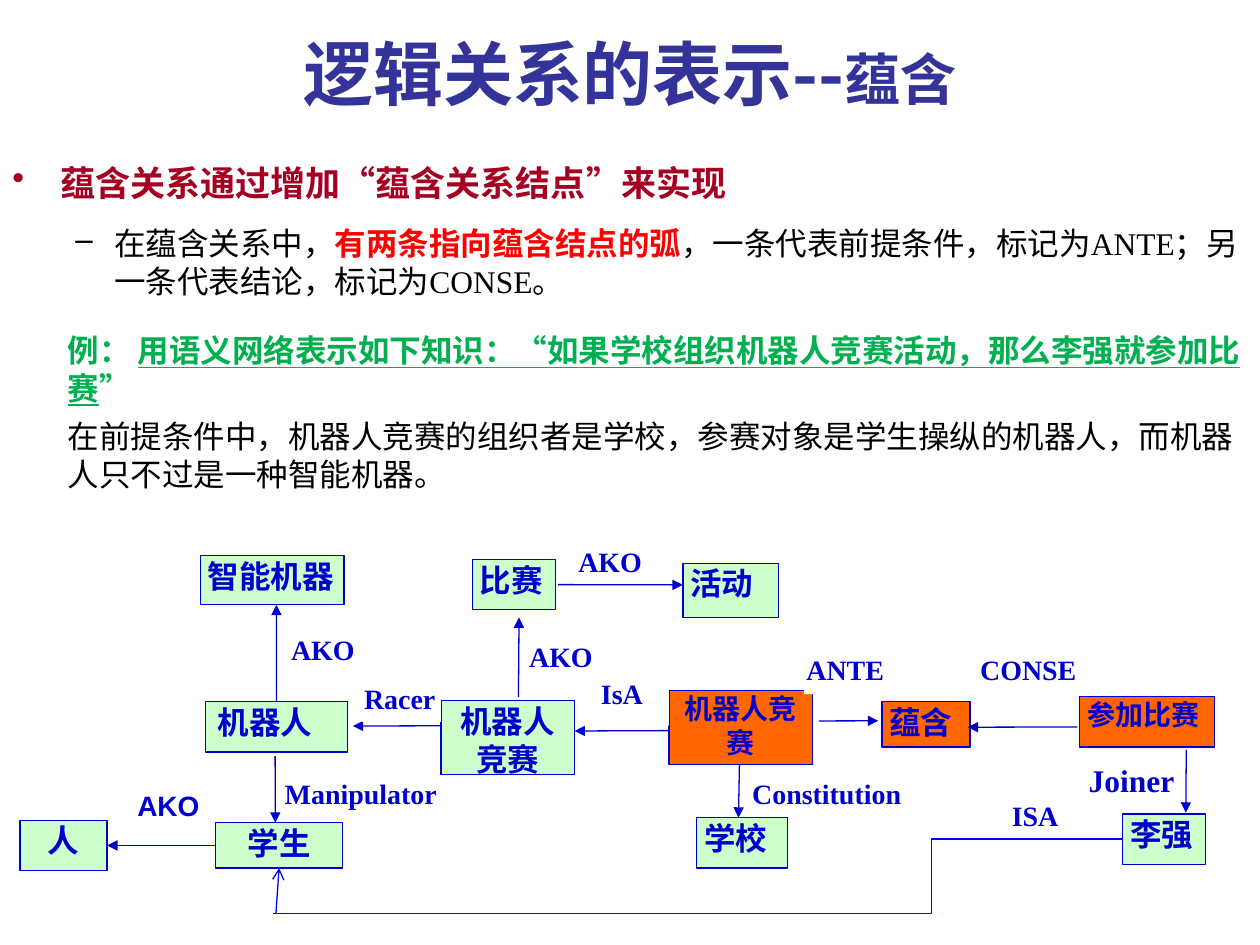
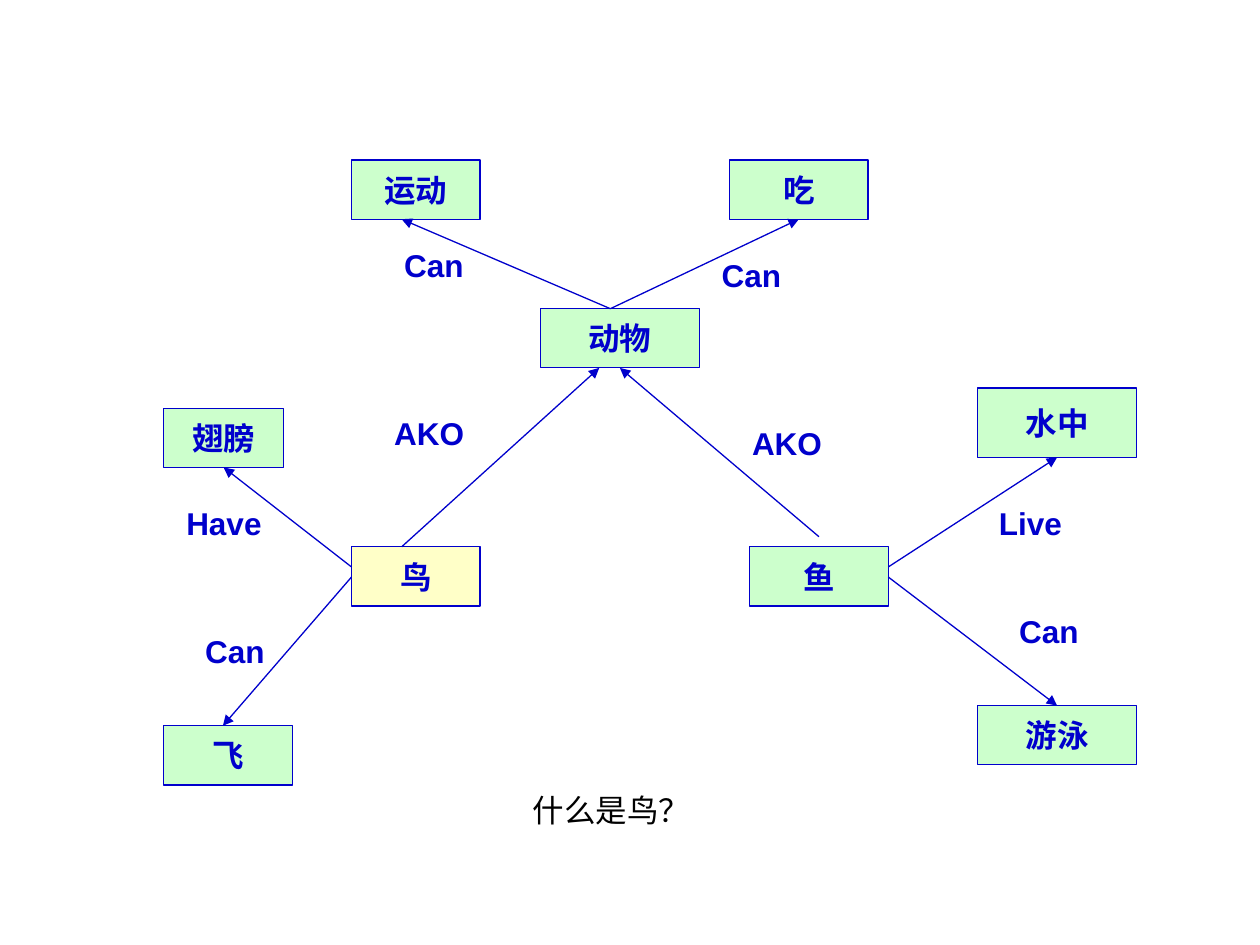
import pptx
import pptx.util
import pptx.dml.color
import pptx.enum.shapes
import pptx.enum.text
import pptx.oxml.ns
import lxml.etree

SERIF, SANS, CJK = "Times New Roman", "Arial", "Noto Sans CJK JP"
INK, BLACK, WHITE = "0000CC", "000000", "FFFFFF"
GREEN, ORANGE, YELLOW = "CCFFCC", "FF6600", "FFFFC8"
TITLE_COLOUR, HEADING, RED, EXAMPLE = "333399", "A50021", "FF0000", "00B050"
RETURN_LINE = "0000FF"
NODE_INSETS, LABEL_INSETS = (0.06, 0.01), (0.02, 0.01)
PLAIN_INSETS = (0.1, 0.05)
ALIGN = pptx.enum.text.PP_ALIGN
MIDDLE = pptx.enum.text.MSO_ANCHOR.MIDDLE

# Each run: text, size, colour, bold, underlined
TITLE = [("逻辑关系的表示--", 40, TITLE_COLOUR, True, False),
         ("蕴含", 32, TITLE_COLOUR, True, False)]

# Each paragraph: level, left margin, first-line indent, space before, bullet, runs
BODY = [
    (0, 0.38, -0.38, 12, "•",
     [("蕴含关系通过增加“蕴含关系结点”来实现", 20, HEADING, True, False)]),
    (1, 0.81, -0.31, 12, "–",
     [("在蕴含关系中，", 18, BLACK, False, False),
      ("有两条指向蕴含结点的弧", 18, RED, True, False),
      ("，一条代表前提条件，标记为ANTE；另一条代表结论，标记为CONSE。",
       18, BLACK, False, False)]),
    (1, 0.44, 0, 18, None,
     [("例： ", 18, EXAMPLE, True, False),
      ("用语义网络表示如下知识：“如果学校组织机器人竞赛活动，那么李强就参加比赛",
       18, EXAMPLE, True, True),
      ("”", 18, EXAMPLE, True, False)]),
    (1, 0.44, 0, 6, None,
     [("在前提条件中，机器人竞赛的组织者是学校，参赛对象是学生操纵的机器人，"
       "而机器人只不过是一种智能机器。", 18, BLACK, False, False)]),
]

# Each node: box, fill, size, alignment
CONTEST_NODES = {
    "智能机器": ((1.59, 4.41, 1.14, 0.39), GREEN, 18, ALIGN.JUSTIFY),
    "比赛": ((3.75, 4.44, 0.66, 0.4), GREEN, 18, ALIGN.JUSTIFY),
    "活动": ((5.42, 4.47, 0.76, 0.43), GREEN, 18, ALIGN.JUSTIFY),
    "机器人": ((1.63, 5.57, 1.13, 0.4), GREEN, 18, ALIGN.JUSTIFY),
    "机器人\v竞赛": ((3.5, 5.56, 1.06, 0.59), GREEN, 18, ALIGN.CENTER),
    "机器人竞赛": ((5.31, 5.48, 1.14, 0.59), ORANGE, 16, ALIGN.CENTER),
    "蕴含": ((7, 5.57, 0.7, 0.36), ORANGE, 18, ALIGN.JUSTIFY),
    "参加比赛": ((8.57, 5.53, 1.07, 0.4), ORANGE, 16, ALIGN.JUSTIFY),
    "人": ((0.16, 6.51, 0.69, 0.4), GREEN, 18, ALIGN.CENTER),
    "学生": ((1.71, 6.53, 1.01, 0.36), GREEN, 18, ALIGN.CENTER),
    "学校": ((5.53, 6.49, 0.72, 0.4), GREEN, 18, ALIGN.JUSTIFY),
    "李强": ((8.91, 6.46, 0.66, 0.4), GREEN, 18, ALIGN.JUSTIFY),
}
WIDE_INSET_NODE = "机器人"

# Each arrow end: node, side, share along that side, gap to the node
CONTEST_ARROWS = [
    (("机器人", "top", 0.5, 0), ("智能机器", "bottom", 0.53, 0)),
    (("比赛", "right", 0.5, 0.02), ("活动", "left", 0.4, 0)),
    (("机器人\v竞赛", "top", 0.58, 0.03), ("比赛", "bottom", 0.56, 0.06)),
    (("机器人\v竞赛", "left", 0.34, 0), ("机器人", "right", 0.48, 0.04)),
    (("机器人竞赛", "left", 0.54, 0), ("机器人\v竞赛", "right", 0.41, 0)),
    (("机器人竞赛", "right", 0.41, 0.05), ("蕴含", "left", 0.42, 0.03)),
    (("参加比赛", "left", 0.6, 0.02), ("蕴含", "right", 0.56, -0.02)),
    (("机器人", "bottom", 0.49, 0.03), ("学生", "top", 0.47, 0)),
    (("机器人竞赛", "bottom", 0.49, 0), ("学校", "top", 0.46, 0)),
    (("参加比赛", "bottom", 0.79, 0.02), ("李强", "top", 0.76, 0.01)),
    (("学生", "left", 0.5, 0), ("人", "right", 0.5, 0)),
]

# Each label: text, box, size, font, fill
CONTEST_LABELS = [
    ("AKO", (2.29, 5.01, 0.74, 0.32), 16, SERIF, WHITE),
    ("AKO", (4.57, 4.31, 0.6, 0.3), 16, SERIF, WHITE),
    ("AKO", (4.18, 5.07, 0.56, 0.4), 16, SERIF, WHITE),
    ("Racer", (2.87, 5.4, 0.63, 0.33), 16, SERIF, WHITE),
    ("IsA", (4.75, 5.36, 0.56, 0.4), 16, SERIF, WHITE),
    ("ANTE", (6.38, 5.17, 0.71, 0.34), 16, SERIF, WHITE),
    ("CONSE", (7.76, 5.17, 0.87, 0.34), 16, SERIF, WHITE),
    ("Manipulator", (2.24, 6.15, 1.34, 0.47), 16, SERIF, None),
    ("Constitution", (5.95, 6.15, 1.29, 0.36), 16, SERIF, None),
    ("Joiner", (8.62, 6.03, 0.77, 0.36), 18, SERIF, None),
    ("AKO", (1.07, 6.25, 0.56, 0.35), 16, SANS, WHITE),
    ("ISA", (8.01, 6.33, 0.41, 0.33), 16, SERIF, WHITE),
]

ANIMAL_NODES = {
    "运动": ((2.79, 1.27, 1.02, 0.47), GREEN),
    "吃": ((5.79, 1.27, 1.1, 0.47), GREEN),
    "动物": ((4.29, 2.45, 1.26, 0.47), GREEN),
    "翅膀": ((1.3, 3.24, 0.95, 0.47), GREEN),
    "水中": ((7.76, 3.08, 1.26, 0.55), GREEN),
    "鸟": ((2.79, 4.34, 1.02, 0.47), YELLOW),
    "鱼": ((5.95, 4.34, 1.1, 0.47), GREEN),
    "飞": ((1.3, 5.76, 1.02, 0.47), GREEN),
    "游泳": ((7.76, 5.6, 1.26, 0.47), GREEN),
}
ANIMAL_ARROWS = [
    (("动物", "top", 0.44, 0), ("运动", "bottom", 0.39, 0)),
    (("动物", "top", 0.44, 0), ("吃", "bottom", 0.5, 0)),
    (("鸟", "top", 0.39, 0), ("动物", "bottom", 0.37, 0)),
    (("鱼", "top", 0.5, 0.08), ("动物", "bottom", 0.5, 0)),
    (("鸟", "left", 0.34, 0), ("翅膀", "bottom", 0.5, 0)),
    (("鸟", "left", 0.51, 0), ("飞", "top", 0.46, 0)),
    (("鱼", "right", 0.34, 0), ("水中", "bottom", 0.5, 0)),
    (("鱼", "right", 0.51, 0), ("游泳", "top", 0.5, 0)),
]
# Each label: text, left, top, width
ANIMAL_LABELS = [
    ("Can", 3.11, 1.9, 0.87), ("Can", 5.63, 1.98, 0.94),
    ("AKO", 3.03, 3.24, 1.1), ("AKO", 5.87, 3.32, 1.18),
    ("Have", 1.38, 3.95, 0.95), ("Live", 7.83, 3.95, 0.75),
    ("Can", 1.53, 4.97, 0.71), ("Can", 7.99, 4.81, 0.79),
]
QUESTION = ("什么是鸟？", 4.13, 6.23, 2.56)
LABEL_HEIGHT = 0.4


def inches(values):
    """Turn numbers into lengths."""
    return [pptx.util.Inches(value) for value in values]


def colour(hex_string):
    """Turn a hex string into a colour."""
    return pptx.dml.color.RGBColor.from_string(hex_string)


def add_xml(parent, tag, **attributes):
    """Append a drawing element to parent and return it."""
    return lxml.etree.SubElement(parent, pptx.oxml.ns.qn(tag), attributes)


def style_run(run, size, ink, bold, font, underline=False):
    """Format one run, with a face for Latin and one for Chinese."""
    run.font.size = pptx.util.Pt(size)
    run.font.bold = bold
    if underline:
        run.font.underline = True
    run.font.color.rgb = colour(ink)
    run.font.name = font
    add_xml(run.font._element, "a:ea", typeface=CJK)


def add_runs(paragraph, runs, font):
    """Write differently formatted runs into a paragraph."""
    for text, size, ink, bold, underline in runs:
        run = paragraph.add_run()
        run.text = text
        style_run(run, size, ink, bold, font, underline)


def set_frame(frame, insets, wrap=True):
    """Set horizontal and vertical insets and wrapping."""
    frame.margin_left = frame.margin_right = pptx.util.Inches(insets[0])
    frame.margin_top = frame.margin_bottom = pptx.util.Inches(insets[1])
    frame.word_wrap = wrap


def write(shape, text, size, font, align, insets, wrap=True, ink=INK, bold=True):
    """Write one uniformly formatted paragraph into a shape."""
    set_frame(shape.text_frame, insets, wrap)
    paragraph = shape.text_frame.paragraphs[0]
    paragraph.text = text
    paragraph.alignment = align
    for run in paragraph.runs:
        style_run(run, size, ink, bold, font)


def add_box(slide, box, fill, outline=None):
    """Add a flat rectangle whose text starts at the top."""
    shape = slide.shapes.add_shape(
        pptx.enum.shapes.MSO_SHAPE.RECTANGLE, *inches(box))
    shape.shadow.inherit = False
    shape.fill.solid()
    shape.fill.fore_color.rgb = colour(fill)
    if outline:
        shape.line.color.rgb = colour(outline)
        shape.line.width = pptx.util.Pt(0.75)
    else:
        shape.line.fill.background()
    shape.text_frame.vertical_anchor = pptx.enum.text.MSO_ANCHOR.TOP
    return shape


def add_line(slide, start, end, ink=INK, head="triangle", kind="STRAIGHT"):
    """Add a connector, with an arrowhead at its end if head is given."""
    line = slide.shapes.add_connector(
        pptx.enum.shapes.MSO_CONNECTOR[kind], *inches((*start, *end)))
    line.line.color.rgb = colour(ink)
    line.line.width = pptx.util.Pt(0.75)
    if head:
        add_xml(line.line._get_or_add_ln(), "a:tailEnd", type=head)
    add_xml(line._element.spPr, "a:effectLst")
    return line


def locate(nodes, end):
    """Find the point of an arrow end beside its node."""
    name, side, share, gap = end
    left, top, width, height = nodes[name][0]
    return {"top": (left + share * width, top - gap),
            "bottom": (left + share * width, top + height + gap),
            "left": (left - gap, top + share * height),
            "right": (left + width + gap, top + share * height)}[side]


def add_arrows(slide, nodes, arrows):
    """Draw the relations between nodes."""
    for start, end in arrows:
        add_line(slide, locate(nodes, start), locate(nodes, end))


def add_heading_and_body(slide):
    """Add the title and the explanation."""
    title = slide.shapes.add_textbox(*inches((0.5, 0, 9, 1.15))).text_frame
    set_frame(title, PLAIN_INSETS)
    title.vertical_anchor = MIDDLE
    title.paragraphs[0].alignment = ALIGN.CENTER
    add_runs(title.paragraphs[0], TITLE, CJK)

    body = slide.shapes.add_textbox(*inches((0, 1.23, 10, 6.27))).text_frame
    set_frame(body, PLAIN_INSETS)
    for index, (level, margin, indent, before, bullet, runs) in enumerate(BODY):
        paragraph = body.add_paragraph() if index else body.paragraphs[0]
        paragraph.level = level
        paragraph.space_before = pptx.util.Pt(before)
        properties = paragraph._p.get_or_add_pPr()
        properties.set("marL", str(pptx.util.Inches(margin)))
        properties.set("indent", str(pptx.util.Inches(indent)))
        if bullet:
            add_xml(properties, "a:buChar", char=bullet)
        add_runs(paragraph, runs, SERIF)


def build_contest(slide):
    """Build the implication network."""
    add_heading_and_body(slide)
    for name, (box, fill, size, align) in CONTEST_NODES.items():
        insets = (0.1, 0.01) if name == WIDE_INSET_NODE else NODE_INSETS
        font = SANS if name == "人" else SERIF
        write(add_box(slide, box, fill, INK), name, size, font, align, insets)
    add_arrows(slide, CONTEST_NODES, CONTEST_ARROWS)
    for text, box, size, font, fill in CONTEST_LABELS:
        label = (add_box(slide, box, fill) if fill
                 else slide.shapes.add_textbox(*inches(box)))
        write(label, text, size, font, ALIGN.JUSTIFY, LABEL_INSETS)

    corner = (2.17, 7.25)
    elbow = add_line(slide, locate(CONTEST_NODES, ("李强", "left", 0.5, 0)),
                     corner, RETURN_LINE, None, "ELBOW")
    guides = elbow._element.spPr.prstGeom.get_or_add_avLst()
    add_xml(guides, "a:gd", name="adj1", fmla="val 22500")
    add_line(slide, (2.19, corner[1]),
             locate(CONTEST_NODES, ("学生", "bottom", 0.5, 0)), RETURN_LINE, "arrow")


def build_animals(slide):
    """Build the animal network and its question."""
    for name, (box, fill) in ANIMAL_NODES.items():
        node = add_box(slide, box, fill, INK)
        node.text_frame.vertical_anchor = MIDDLE
        write(node, name, 18, SANS, ALIGN.CENTER, PLAIN_INSETS, wrap=False)
    add_arrows(slide, ANIMAL_NODES, ANIMAL_ARROWS)
    for text, *place in ANIMAL_LABELS + [QUESTION]:
        label = slide.shapes.add_textbox(*inches((*place, LABEL_HEIGHT)))
        asked = text == QUESTION[0]
        write(label, text, 18, SANS, ALIGN.LEFT, PLAIN_INSETS,
              ink=BLACK if asked else INK, bold=not asked)


deck = pptx.Presentation()
deck.slide_width, deck.slide_height = inches((10, 7.5))
for build in (build_contest, build_animals):
    build(deck.slides.add_slide(deck.slide_layouts[6]))
deck.save("out.pptx")
